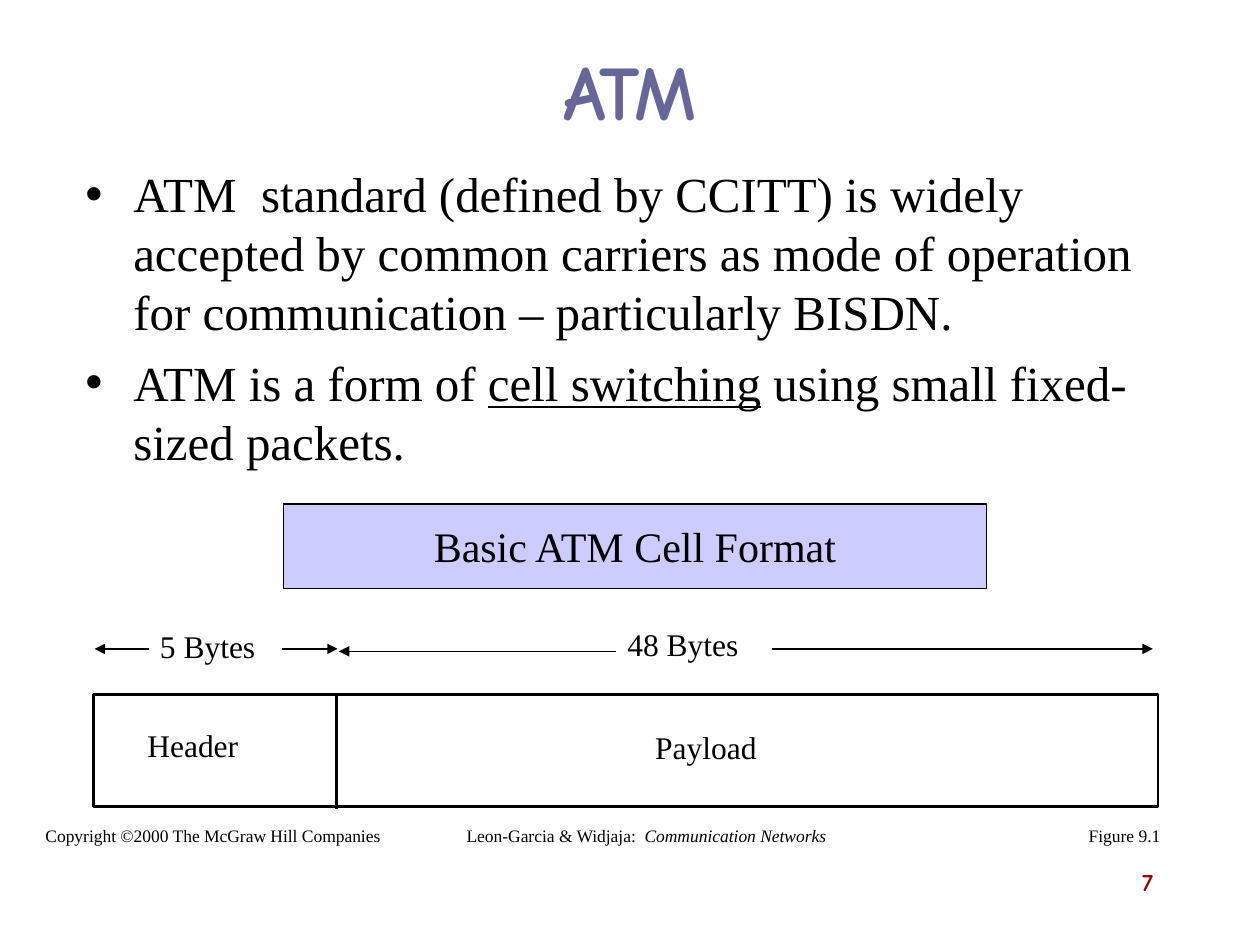
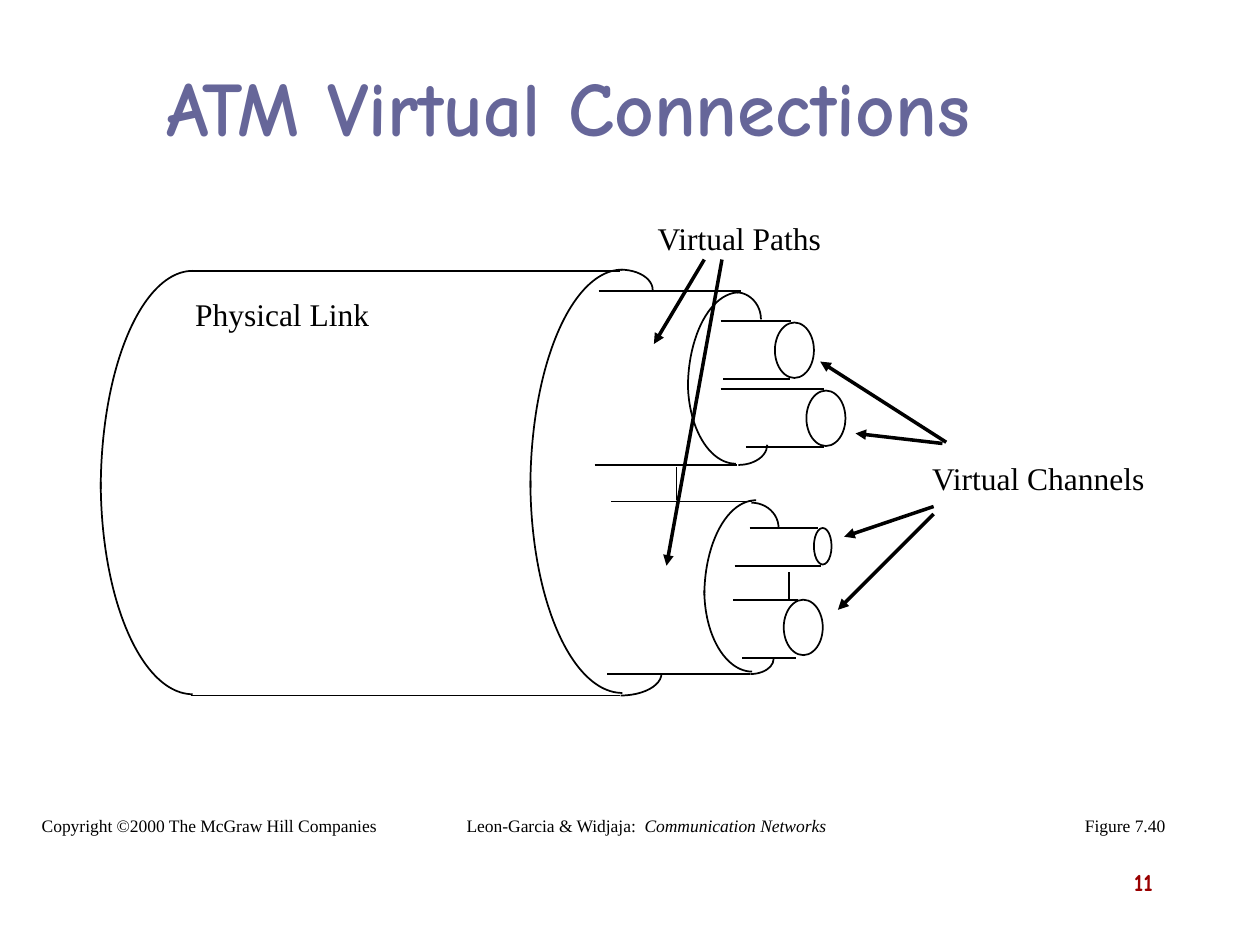
import lxml.etree
import pptx
import pptx.dml.color
import pptx.enum.shapes
import pptx.enum.text
import pptx.oxml.ns
import pptx.util

COLORS = {"ink": "000000", "title": "666699", "band": "CCCCFF", "page": "990000"}
SERIF = "Times New Roman"
COMIC = "Comic Neue"
KIND = pptx.enum.shapes.MSO_SHAPE
ALIGN = pptx.enum.text.PP_ALIGN
ANCHOR = pptx.enum.text.MSO_ANCHOR
# Start angle of each quarter of an ellipse, clockwise from the right
QUARTERS = {"low right": 0, "low left": 90, "top left": 180, "top right": 270}


def color(name):
    return pptx.dml.color.RGBColor.from_string(COLORS[name])


def place(box):
    return [pptx.util.Inches(size) for size in box]


def add_xml(parent, tag, **attrs):
    return lxml.etree.SubElement(parent, pptx.oxml.ns.qn(tag), **attrs)


def write(frame, paras, size=18, font=SERIF, ink="ink", bold=None, align=ALIGN.LEFT,
          anchor=ANCHOR.TOP, wrap=False, inset=(0.1, 0.05), right=None, bullet=False, gap=0):
    """Fill a frame; each paragraph is a list of (text, style), style "", "i" or "u"."""
    frame.word_wrap = wrap
    frame.vertical_anchor = anchor
    side, edge = place(inset)
    frame.margin_left = side
    frame.margin_right = side if right is None else pptx.util.Inches(right)
    frame.margin_top = frame.margin_bottom = edge
    for index, runs in enumerate(paras):
        para = frame.add_paragraph() if index else frame.paragraphs[0]
        para.alignment = align
        if bullet:
            props = para._p.get_or_add_pPr()
            indent = pptx.util.Inches(0.38)
            props.set("marL", str(indent))
            props.set("indent", str(-indent))
            add_xml(props, "a:buFont", typeface="Arial")
            add_xml(props, "a:buChar", char="•")
        if index and gap:
            para.space_before = pptx.util.Pt(gap)
        for text, style in runs:
            run = para.add_run()
            run.text = text
            run.font.size = pptx.util.Pt(size)
            run.font.name = font
            run.font.color.rgb = color(ink)
            run.font.bold = bold
            if style == "i":
                run.font.italic = True
            if style == "u":
                run.font.underline = True


def label(slide, box, text, **style):
    """Add a text box holding one string or a list of paragraphs."""
    paras = [[(text, "")]] if isinstance(text, str) else text
    write(slide.shapes.add_textbox(*place(box)).text_frame, paras, **style)


def shape(slide, kind, box, width=1, fill=None):
    item = slide.shapes.add_shape(kind, *place(box))
    item.shadow.inherit = False
    item.line.color.rgb = color("ink")
    item.line.width = pptx.util.Pt(width)
    if fill:
        item.fill.solid()
        item.fill.fore_color.rgb = color(fill)
    else:
        item.fill.background()
    return item


def arc(slide, part, box):
    """Draw one quarter of the ellipse that fills the box."""
    item = shape(slide, KIND.ARC, box)
    start = QUARTERS[part]
    # Angles are stored in 1/60000 degree and scaled by 100000
    item.adjustments[0] = start * 0.6
    item.adjustments[1] = (start + 90) % 360 * 0.6


def line(slide, ends, width=1, arrow=False):
    item = slide.shapes.add_connector(pptx.enum.shapes.MSO_CONNECTOR.STRAIGHT, *place(ends))
    item.line.color.rgb = color("ink")
    item.line.width = pptx.util.Pt(width)
    if arrow:
        add_xml(item.line._get_or_add_ln(), "a:tailEnd", type="triangle")
    add_xml(item._element.spPr, "a:effectLst")


def title(slide, box, text, right=None):
    label(slide, box, text, size=44, font=COMIC, ink="title", bold=True, wrap=True,
          align=ALIGN.CENTER, anchor=ANCHOR.MIDDLE, right=right)


def footer(slide, top, left, figure, page):
    """Add the credits, figure number and page number; left is (credit, figure box)."""
    notes = [
        ((left[0], top, 2.86, 0.27), "Copyright ©2000 The McGraw Hill Companies"),
        ((3.6, top, 3.06, 0.27),
         [[("Leon-Garcia & Widjaja:  ", ""), ("Communication Networks", "i")]]),
        ((*left[1], 0.27), figure),
    ]
    for box, text in notes:
        label(slide, box, text, size=10, align=ALIGN.CENTER, anchor=ANCHOR.MIDDLE)
    label(slide, (7.17, 6.83, 2.08, 0.5), page, size=14, font=COMIC, ink="page",
          bold=True, align=ALIGN.RIGHT, wrap=True)


def draw_cell(slide):
    """Draw the cell with its header and payload fields and their sizes."""
    shape(slide, KIND.RECTANGLE, (0.74, 5.51, 8.45, 0.89), 1.5)
    line(slide, (2.67, 5.5, 2.67, 6.42), 1.5)
    for left, top, text in [(1.17, 5.76, "Header"), (5.2, 5.78, "Payload"),
                            (1.27, 4.98, "5 Bytes"), (4.98, 4.96, "48 Bytes")]:
        label(slide, (left, top, 1.3, 0.3), text, inset=(0, 0), wrap=True)
    for start, end, y in [(2.24, 2.68, 5.15), (1.18, 0.75, 5.15),
                          (4.89, 2.69, 5.17), (6.13, 9.15, 5.15)]:
        line(slide, (start, y, end, y), 0.75, True)
    band = shape(slide, KIND.RECTANGLE, (2.25, 4, 5.58, 0.67), 0.75, "band")
    write(band.text_frame, [[("Basic ATM Cell Format", "")]], size=24,
          align=ALIGN.CENTER, anchor=ANCHOR.MIDDLE)


def draw_link(slide):
    """Draw the physical link, which opens into paths and then channels."""
    link = [(1.52, 4.92, 2.15), (1.52, 4.92, 5.52)]
    paths = [(4.75, 5.88, 2.31), (4.72, 5.85, 3.69), (4.85, 5.97, 3.98), (4.82, 5.95, 5.35)]
    lanes = [(5.72, 6.28, 2.55), (5.74, 6.27, 3.01), (5.72, 6.54, 3.09), (5.92, 6.54, 3.55),
             (5.95, 6.49, 4.19), (5.83, 6.52, 4.49), (5.82, 6.33, 4.76), (5.89, 6.32, 5.22)]
    for left, right, y in link + paths + lanes:
        line(slide, (left, y, right, y))
    for x, top, end in [(5.37, 3.71, 3.97), (6.26, 4.54, 4.75)]:
        line(slide, (x, top, x, end))
    for box in [(6.15, 2.56, 0.31, 0.44), (6.22, 4.76, 0.31, 0.44),
                (6.4, 3.1, 0.31, 0.44), (6.46, 4.19, 0.14, 0.29)]:
        shape(slide, KIND.OVAL, box)
    # Left rims of the link and the paths: an upper and a lower quarter
    for left, top, width, high, drop, low in [
            (0.8, 2.15, 1.46, 3.46, 2.14, 3.37), (4.21, 2.14, 1.46, 3.46, 2.13, 3.37),
            (5.46, 2.32, 0.82, 1.51, 2.39, 1.29), (5.59, 3.97, 0.82, 1.51, 4.04, 1.29)]:
        arc(slide, "top left", (left, top, width, high))
        # The lower quarter of a path is a little narrower
        arc(slide, "low left", (left, drop, width if width > 1 else 0.76, low))
    for upper, lower in [
            ((4.67, 2.14, 0.51, 0.32), (4.6, 5.17, 0.65, 0.35)),
            ((5.64, 2.32, 0.4, 0.43), (5.63, 3.37, 0.46, 0.32)),
            ((5.75, 3.99, 0.43, 0.4), (5.77, 5.11, 0.37, 0.24))]:
        arc(slide, "top right", upper)
        arc(slide, "low right", lower)


def mark_parts(slide):
    """Name the link, paths and channels and point at them."""
    for box, text in [((1.45, 2.29, 1.58, 0.4), "Physical Link"),
                      ((5.12, 1.69, 1.51, 0.4), "Virtual Paths"),
                      ((7.3, 3.59, 1.9, 0.4), "Virtual Channels")]:
        label(slide, box, text)
    for ends in [(5.59, 2.06, 5.19, 2.73), (5.73, 2.06, 5.29, 4.49),
                 (7.51, 3.51, 6.51, 2.87), (7.48, 3.52, 6.79, 3.44),
                 (7.41, 4.02, 6.7, 4.26), (7.41, 4.08, 6.65, 4.84)]:
        line(slide, ends, 2, True)


def main():
    deck = pptx.Presentation()
    deck.slide_width, deck.slide_height = place((10, 7.5))
    blank = deck.slide_layouts[6]

    cell = deck.slides.add_slide(blank)
    title(cell, (0.75, 0.25, 8.5, 0.92), "ATM")
    label(cell, (0.58, 1.25, 8.83, 2.75), [
        [("ATM  standard (defined by CCITT) is widely accepted by common carriers as mode "
          "of operation for communication – particularly BISDN.", "")],
        [("ATM is a form of ", ""), ("cell switching", "u"),
         (" using small fixed-sized packets.", "")],
    ], size=28, bullet=True, gap=7, wrap=True)
    draw_cell(cell)
    footer(cell, 6.5, (0.26, (8.54, 6.5, 0.77)), "Figure 9.1", "7")

    link = deck.slides.add_slide(blank)
    draw_link(link)
    mark_parts(link)
    # A wide right margin sets the title left of centre
    title(link, (0.2, 0.21, 9.53, 1.26), "ATM Virtual Connections", right=1)
    footer(link, 6.42, (0.23, (8.51, 6.42, 0.84)), "Figure 7.40", "11")

    deck.save("out.pptx")


if __name__ == "__main__":
    main()
